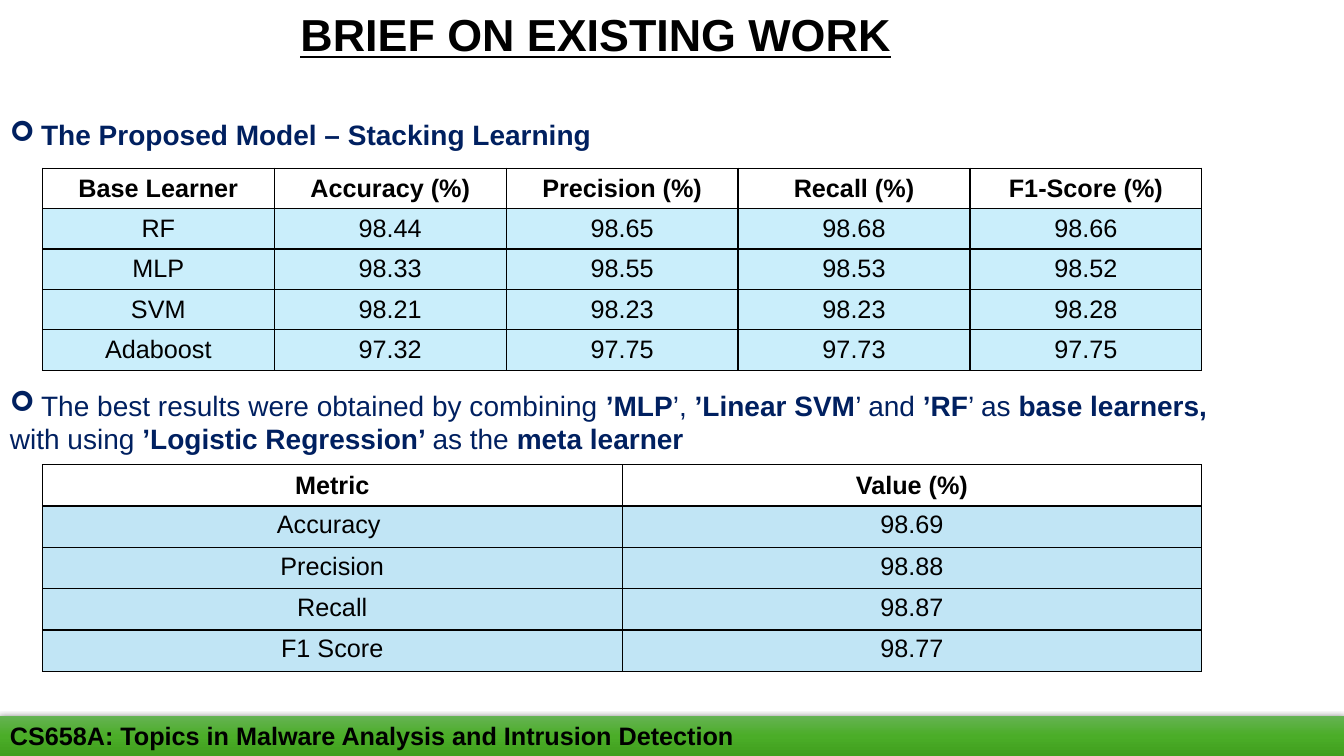
from copy import deepcopy

from pptx import Presentation
from pptx.dml.color import RGBColor
from pptx.enum.shapes import MSO_SHAPE as Shape
from pptx.enum.text import MSO_ANCHOR as Anchor, MSO_AUTO_SIZE as AutoSize, PP_ALIGN as Align
from pptx.oxml import parse_xml
from pptx.oxml.ns import nsdecls, qn
from pptx.util import Inches, Pt

WIDTH, HEIGHT = 13.33, 7.5
TABLE_LEFT, TABLE_WIDTH = 0.42, 11.5
BLACK, WHITE, NAVY = "000000", "FFFFFF", "002060"
BULLET_INDENT = 0.31

LEARNERS = [
    ["Base Learner", "Accuracy (%)", "Precision (%)", "Recall (%)", "F1-Score (%)"],
    ["RF", "98.44", "98.65", "98.68", "98.66"],
    ["MLP", "98.33", "98.55", "98.53", "98.52"],
    ["SVM", "98.21", "98.23", "98.23", "98.28"],
    ["Adaboost", "97.32", "97.75", "97.73", "97.75"],
]
METRICS = [
    ["Metric", "Value (%)"],
    ["Accuracy ", "98.69"],
    ["Precision", "98.88"],
    ["Recall", "98.87"],
    ["F1 Score", "98.77"],
]
# Asterisks switch bold on and off
MODEL = "*The Proposed Model – Stacking Learning*"
RESULT = ("The best results were obtained by combining *’MLP*’, *’Linear SVM*’ "
          "and *’RF*’ as *base learners,*")
META = "with using *’Logistic Regression’ *as the *meta learner*"


def color(value):
    return RGBColor.from_string(value)


def place(shape, left, top, width, height):
    shape.left, shape.top = Inches(left), Inches(top)
    shape.width, shape.height = Inches(width), Inches(height)


def write(para, text, size=18, ink=BLACK, bold=False, underline=False, align=Align.LEFT):
    """Write text into a paragraph; parts between asterisks change weight."""
    para.alignment = align
    for index, part in enumerate(text.split("*")):
        if part:
            span = para.add_run()
            span.text = part
            font = span.font
            font.name, font.size, font.color.rgb = "Arial", Pt(size), color(ink)
            font.bold, font.underline = bold != bool(index % 2), underline


def add_bullet(para):
    props = para._p.get_or_add_pPr()
    props.set("marL", str(Inches(BULLET_INDENT)))
    props.set("indent", str(-Inches(BULLET_INDENT)))
    props.append(parse_xml(f'<a:buFont {nsdecls("a")} typeface="Wingdings"/>'))
    props.append(parse_xml(f'<a:buChar {nsdecls("a")} char="➢"/>'))


def add_title(slide, text):
    title = slide.shapes.title
    place(title, 0, 0.02, 11.82, 0.64)
    title.fill.solid()
    title.fill.fore_color.rgb = color(WHITE)
    frame = title.text_frame
    frame.vertical_anchor, frame.auto_size = Anchor.TOP, AutoSize.SHAPE_TO_FIT_TEXT
    write(frame.paragraphs[0], text, size=32, bold=True, underline=True, align=Align.CENTER)


def add_statements(slide):
    box = slide.shapes.add_textbox(0, 0, 0, 0)
    place(box, 0, 1.12, WIDTH, 4.48)
    frame = box.text_frame
    frame.word_wrap = True
    for index, text in enumerate([MODEL, RESULT, META]):
        para = frame.paragraphs[0] if index == 0 else frame.add_paragraph()
        write(para, text, size=20, ink=NAVY)
        if text == RESULT:
            para.space_before = Pt(169)  # room for the first table
        if text != META:
            add_bullet(para)


def add_borders(cell):
    props = cell._tc.get_or_add_tcPr()
    for side in "LRTB":
        props.append(parse_xml(
            f'<a:ln{side} {nsdecls("a")} w="{Pt(1)}"><a:solidFill>'
            f'<a:srgbClr val="{BLACK}"/></a:solidFill></a:ln{side}>'))


def add_grid(slide, rows, top, row_height, tint, body_anchor=Anchor.MIDDLE):
    count = len(rows[0])
    table = slide.shapes.add_table(
        len(rows), count, Inches(TABLE_LEFT), Inches(top),
        Inches(TABLE_WIDTH), Inches(row_height * len(rows))).table
    table.first_row = table.horz_banding = False
    for column in table.columns:
        column.width = Inches(TABLE_WIDTH / count)
    for row_index, row in enumerate(rows):
        header = row_index == 0
        for column_index, text in enumerate(row):
            cell = table.cell(row_index, column_index)
            add_borders(cell)
            cell.fill.solid()
            cell.fill.fore_color.rgb = color(WHITE if header else tint)
            cell.vertical_anchor = Anchor.MIDDLE if header else body_anchor
            write(cell.text_frame.paragraphs[0], text, bold=header, align=Align.CENTER)


def add_footer(slide, text):
    bar = slide.shapes.add_shape(Shape.RECTANGLE, 0, 0, 0, 0)
    place(bar, 0, HEIGHT - 0.4, WIDTH, 0.4)
    bar.line.fill.background()
    # Three-stop vertical gradient
    bar.fill.gradient()
    bar.fill.gradient_angle = 270
    stops = bar._element.spPr.find(".//" + qn("a:gsLst"))
    stops.append(deepcopy(stops[0]))
    shades = [(0, "66B354"), (0.5, "4BAD28"), (1, "409F1E")]
    for stop, (position, shade) in zip(bar.fill.gradient_stops, shades):
        stop.position, stop.color.rgb = position, color(shade)
    # Soft shadow
    bar.shadow.inherit = False
    bar._element.spPr.find(qn("a:effectLst")).append(parse_xml(
        f'<a:outerShdw {nsdecls("a")} blurRad="{Pt(4.5)}" dist="{Pt(1.5)}" dir="5400000" '
        f'algn="ctr" rotWithShape="0"><a:srgbClr val="{BLACK}"><a:alpha val="63000"/>'
        f'</a:srgbClr></a:outerShdw>'))
    bar.text_frame.vertical_anchor = Anchor.MIDDLE
    write(bar.text_frame.paragraphs[0], text, bold=True)


def main():
    deck = Presentation()
    deck.slide_width, deck.slide_height = Inches(WIDTH), Inches(HEIGHT)
    slide = deck.slides.add_slide(deck.slide_layouts[5])
    add_title(slide, "BRIEF ON EXISTING WORK")
    add_statements(slide)
    add_footer(slide, "CS658A: Topics in Malware Analysis and Intrusion Detection")
    add_grid(slide, LEARNERS, 1.67, 0.4, "CAEEFB")
    add_grid(slide, METRICS, 4.61, 0.41, "C1E5F5", body_anchor=Anchor.TOP)
    deck.save("out.pptx")


if __name__ == "__main__":
    main()
